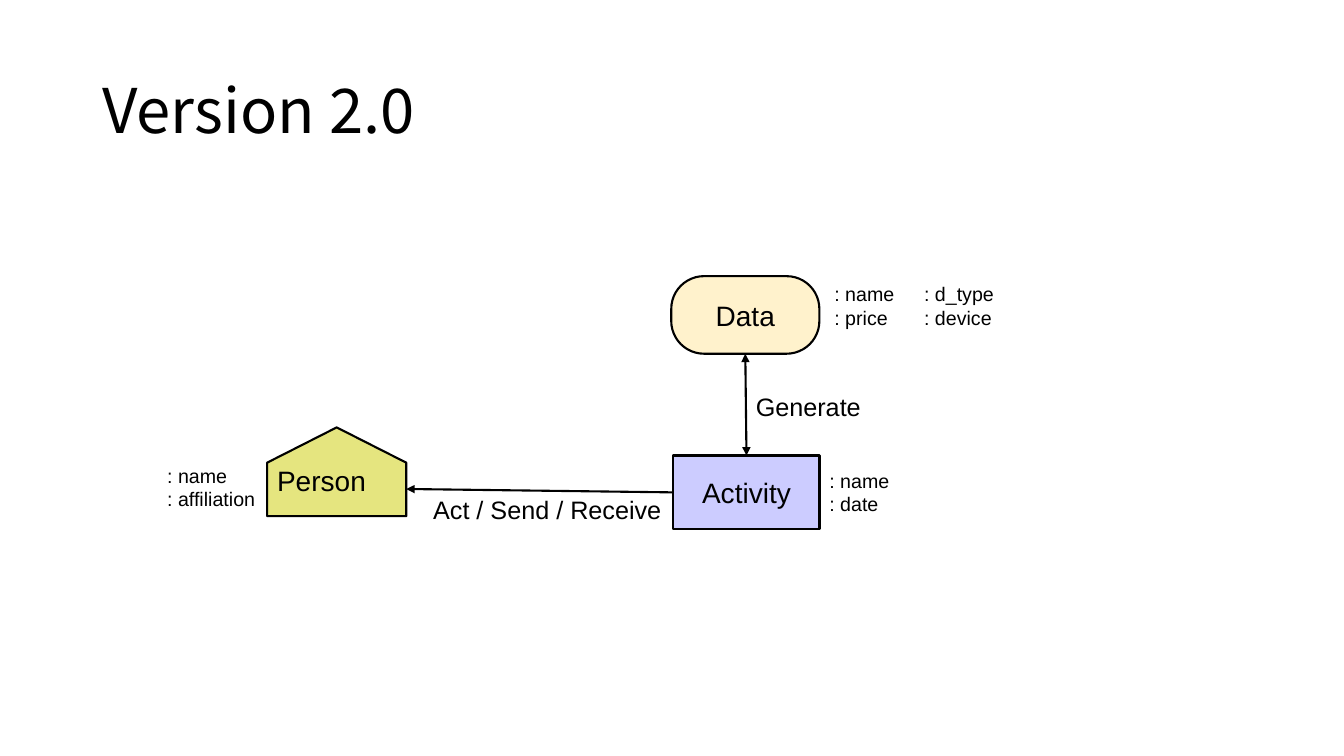
from lxml import etree
from pptx import Presentation
from pptx.dml.color import RGBColor
from pptx.enum.shapes import MSO_CONNECTOR, MSO_SHAPE
from pptx.enum.text import MSO_ANCHOR, MSO_AUTO_SIZE, PP_ALIGN
from pptx.oxml.ns import qn
from pptx.util import Pt

BLACK = RGBColor(0x00, 0x00, 0x00)
OLIVE = RGBColor(0xE5, 0xE5, 0x7F)
CREAM = RGBColor(0xFF, 0xF2, 0xCC)
LAVENDER = RGBColor(0xCC, 0xCC, 0xFF)

PENTAGON = MSO_SHAPE.PENTAGON
ROUNDED = MSO_SHAPE.ROUNDED_RECTANGLE
RECTANGLE = MSO_SHAPE.RECTANGLE
STRAIGHT = MSO_CONNECTOR.STRAIGHT
MIDDLE, TOP = MSO_ANCHOR.MIDDLE, MSO_ANCHOR.TOP
LEFT, CENTER = PP_ALIGN.LEFT, PP_ALIGN.CENTER
NO_AUTOFIT = MSO_AUTO_SIZE.NONE

TOP_SITE, LEFT_SITE, BOTTOM_SITE = 0, 1, 2
LINE_WIDTH = 1.5


def write_text(shape, lines, size, font_name="Arial", alignment=LEFT, anchor=TOP):
    frame = shape.text_frame
    frame.text = "\n".join(lines)
    frame.word_wrap = True
    frame.auto_size = NO_AUTOFIT
    frame.vertical_anchor = anchor
    for paragraph in frame.paragraphs:
        paragraph.alignment = alignment
        paragraph.font.name = font_name
        paragraph.font.size = Pt(size)
        paragraph.font.color.rgb = BLACK


def add_title(slide, text, left, top, width, height):
    title = slide.shapes.title
    title.left, title.top, title.width, title.height = map(Pt, (left, top, width, height))
    write_text(title, [text], 44, "Noto Sans CJK KR", anchor=MIDDLE)
    title.text_frame.paragraphs[0].line_spacing = 0.9


def add_node(slide, kind, name, fill, left, top, width, height):
    node = slide.shapes.add_shape(kind, Pt(left), Pt(top), Pt(width), Pt(height))
    node.shadow.inherit = False
    node.fill.solid()
    node.fill.fore_color.rgb = fill
    node.line.color.rgb = BLACK
    node.line.width = Pt(LINE_WIDTH)
    write_text(node, [name], 20, alignment=CENTER, anchor=MIDDLE)
    return node


def add_house_node(slide, name, fill, left, top, width, height):
    """Turn a pentagon to point upwards so that it fills the given box."""
    shift = (width - height) / 2
    house = add_node(slide, PENTAGON, name, fill, left + shift, top - shift, height, width)
    house.rotation = 270
    house.adjustments[0] = 0.397
    house.text_frame._txBody.bodyPr.set("vert", "eaVert")


def add_arrow(slide, begin, end, ends):
    """Draw a line with a triangle at each named end (headEnd, tailEnd)."""
    arrow = slide.shapes.add_connector(STRAIGHT, *map(Pt, begin + end))
    arrow.line.color.rgb = BLACK
    arrow.line.width = Pt(LINE_WIDTH)
    for tag in ends:
        etree.SubElement(arrow.line._get_or_add_ln(), qn(f"a:{tag}"), type="triangle")
    etree.SubElement(arrow._element.spPr, qn("a:effectLst"))
    return arrow


def add_label(slide, lines, size, left, top, width, height):
    label = slide.shapes.add_textbox(Pt(left), Pt(top), Pt(width), Pt(height))
    write_text(label, lines, size)


def add_graph(slide, left, top):
    """Place the three entities, their relations and their properties."""
    add_house_node(slide, "Person", OLIVE, left + 78.5, top + 108, 99.4, 63.4)
    data = add_node(slide, ROUNDED, "Data", CREAM, left + 367.2, top, 105.8, 55.4)
    data.adjustments[0] = 0.422
    activity = add_node(slide, RECTANGLE, "Activity", LAVENDER,
                        left + 368.7, top + 128.1, 104.4, 52.6)

    act = add_arrow(slide, (left + 177.9, top + 152), (left + 368.7, top + 154.6),
                    ["headEnd"])
    act.end_connect(activity, LEFT_SITE)
    generate = add_arrow(slide, (left + 420, top + 55.4), (left + 420, top + 128.1),
                         ["headEnd", "tailEnd"])
    generate.begin_connect(data, BOTTOM_SITE)
    generate.end_connect(activity, TOP_SITE)

    add_label(slide, ["Generate"], 18, left + 420.5, top + 78.5, 132.5, 29)
    add_label(slide, ["Act / Send / Receive"], 18, left + 190, top + 152, 217.5, 29)

    properties = [
        ([": name", ": date"], 473, 134, 78.5),
        ([": name", ": affiliation"], 0, 130.3, 78.5),
        ([": name", ": price"], 476.6, 0.7, 71.3),
        ([": d_type", ": device"], 540.7, 0.7, 100.8),
    ]
    for lines, x, y, width in properties:
        add_label(slide, lines, 14, left + x, top + y, width, 41)


def main():
    presentation = Presentation()
    presentation.slide_width, presentation.slide_height = Pt(960), Pt(540)
    slide = presentation.slides.add_slide(presentation.slide_layouts[5])
    add_title(slide, "Version 2.0", 66, 28.8, 828, 104.4)
    add_graph(slide, 112.3, 197.3)
    presentation.save("out.pptx")


if __name__ == "__main__":
    main()
